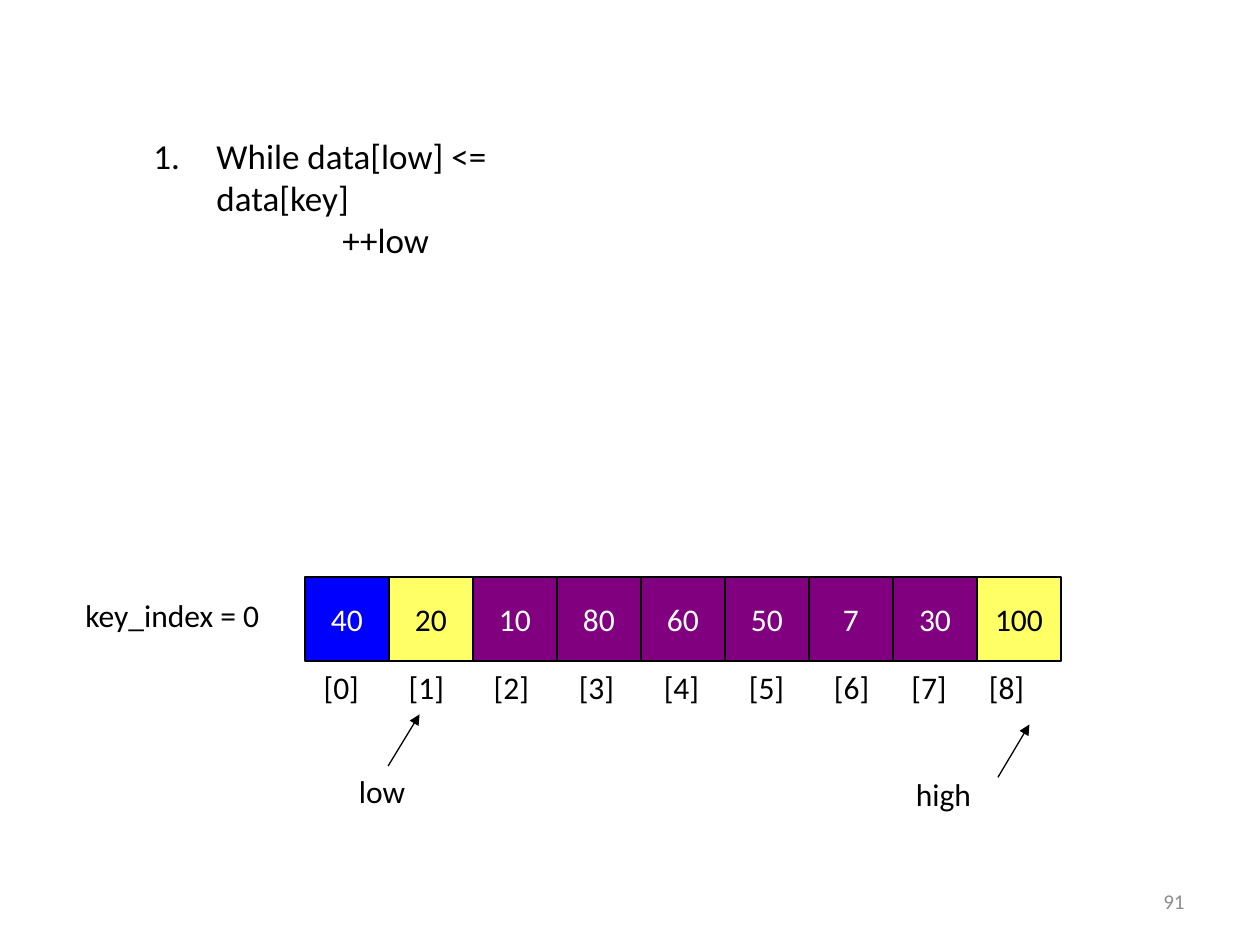
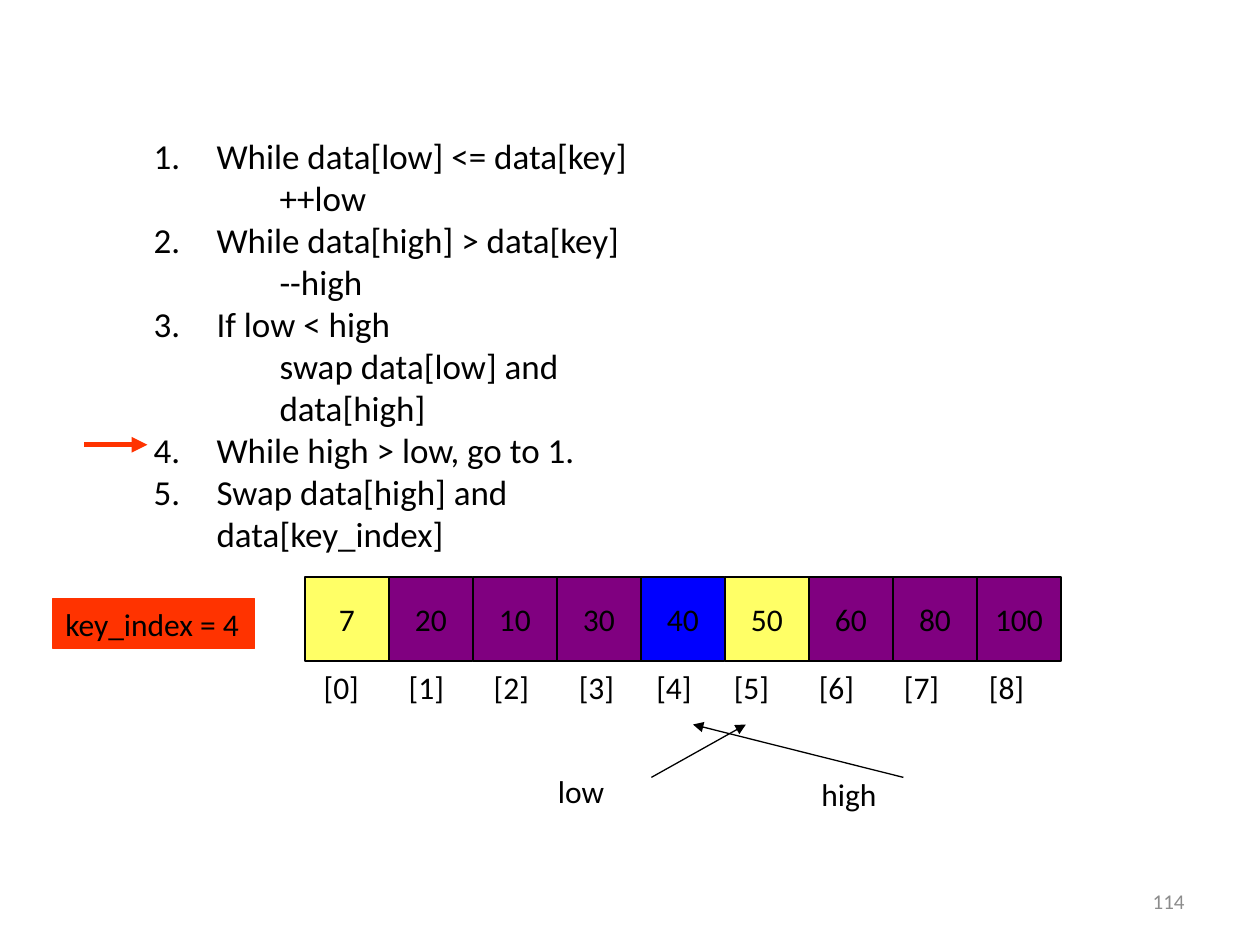
from lxml import etree
from pptx import Presentation
from pptx.dml.color import RGBColor
from pptx.enum.shapes import MSO_CONNECTOR, MSO_SHAPE
from pptx.enum.text import MSO_ANCHOR, PP_ALIGN
from pptx.oxml.ns import qn
from pptx.util import Inches, Pt

RECT, LINE = MSO_SHAPE.RECTANGLE, MSO_CONNECTOR.STRAIGHT
MIDDLE = MSO_ANCHOR.MIDDLE
LEFT, MID, RIGHT = PP_ALIGN.LEFT, PP_ALIGN.CENTER, PP_ALIGN.RIGHT
FONT = "Calibri"
COLORS = {
    "black": "000000", "white": "FFFFFF", "gray": "8C8C8C", "red": "FF3300",
    "key": "0000FF", "mark": "FFFF66", "rest": "800080",
}
CELL = 0.6667
ROW_X, ROW_Y = 2.42, 4.58
WIDE, TIGHT = 0.675, 0.615  # gaps between index labels

SLIDES = [
    {
        "page": "91",
        "values": [40, 20, 10, 80, 60, 50, 7, 30, 100],
        "key": 0, "marks": (1, 8), "ink": "white",
        "key_at": (0.58, 4.68), "key_fill": None,
        "tight": (7, 8),
        "steps_w": 3.73, "sub": 1.5,
        "steps": [("While data[low] <= data[key]", "++low")],
        "names": [("low", 2.75, 6.08), ("high", 7.17, 6.1)],
        "arrows": [(7.92, 6.17, 8.17, 5.75, "black", 0.75),
                   (3.08, 6.08, 3.33, 5.67, "black", 0.75)],
    },
    {
        "page": "114",
        "values": [7, 20, 10, 30, 40, 50, 60, 80, 100],
        "key": 4, "marks": (0, 5), "ink": "black",
        "key_at": (0.42, 4.75), "key_fill": "red",
        "tight": (4, 5),
        "steps_w": 4.38, "sub": 1,
        "steps": [("While data[low] <= data[key]", "++low"),
                  ("While data[high] > data[key]", "--high"),
                  ("If low < high", "swap data[low] and data[high]"),
                  ("While high > low, go to 1.", None),
                  ("Swap data[high] and data[key_index]", None)],
        "names": [("low", 4.33, 6.08), ("high", 6.42, 6.1)],
        "arrows": [(7.17, 6.17, 5.5, 5.75, "black", 0.75),
                   (5.17, 6.17, 5.92, 5.75, "black", 0.75),
                   (0.67, 3.53, 1.17, 3.53, "red", 3)],
    },
]


def style(para, size=18, ink="black", align=LEFT):
    para.alignment = align
    for run in para.runs:
        run.font.name = FONT
        run.font.size = Pt(size)
        run.font.color.rgb = RGBColor.from_string(COLORS[ink])


def box(slide, text, x, y, w, h=0.4, fill=None, edge="black", **look):
    """Add a text box, or a filled rectangle when a fill is named."""
    area = [Inches(n) for n in (x, y, w, h)]
    if fill:
        shape = slide.shapes.add_shape(RECT, *area)
        shape.shadow.inherit = False
        shape.fill.solid()
        shape.fill.fore_color.rgb = RGBColor.from_string(COLORS[fill])
        shape.line.color.rgb = RGBColor.from_string(COLORS[edge])
        shape.line.width = Pt(0.75)
        shape.text_frame.vertical_anchor = MIDDLE
    else:
        shape = slide.shapes.add_textbox(*area)
    shape.text_frame.word_wrap = True
    shape.text_frame.text = text
    style(shape.text_frame.paragraphs[0], **look)
    return shape.text_frame


deck = Presentation()
deck.slide_width, deck.slide_height = Inches(10), Inches(7.5)

for data in SLIDES:
    slide = deck.slides.add_slide(deck.slide_layouts[6])

    # Numbered steps, each with an indented action
    lines = [(text, depth) for step in data["steps"]
             for depth, text in enumerate(step) if text]
    frame = box(slide, lines[0][0], 1.12, 1.02, data["steps_w"], 1.08)
    for i, (text, depth) in enumerate(lines):
        para = frame.add_paragraph() if i else frame.paragraphs[0]
        para.text = text
        para.level = depth
        props = para._p.get_or_add_pPr()
        props.set("marL", str(Inches(data["sub"] if depth else 0.5)))
        props.set("indent", str(Inches(0 if depth else -0.5)))
        if depth:
            etree.SubElement(props, qn("a:buNone"))
        else:
            etree.SubElement(props, qn("a:buAutoNum"), type="arabicPeriod")
        style(para, 20)

    # Array cells
    for i, value in enumerate(data["values"]):
        fill, ink = "rest", data["ink"]
        if i == data["key"]:
            fill = "key"
        elif i in data["marks"]:
            fill, ink = "mark", "black"
        box(slide, str(value), ROW_X + i * CELL, ROW_Y, CELL, CELL,
            fill, ink=ink, align=MID)

    # Index labels on tab stops
    labels = "\t".join(f"[{i}]" for i in range(len(data["values"])))
    frame = box(slide, labels, 2.47, 5.25, 5.91)
    props = frame.paragraphs[0]._p.get_or_add_pPr()
    tabs = etree.SubElement(props, qn("a:tabLst"))
    stop = 0
    for i in range(1, len(data["values"])):
        stop += TIGHT if i in data["tight"] else WIDE
        etree.SubElement(tabs, qn("a:tab"), pos=str(Inches(stop)), algn="l")

    # Key index and pointer names
    box(slide, f"key_index = {data['key']}", *data["key_at"], 1.6,
        fill=data["key_fill"], edge="red")
    for name, x, y in data["names"]:
        box(slide, name, x, y, 1.08)

    for x1, y1, x2, y2, ink, width in data["arrows"]:
        ends = [Inches(n) for n in (x1, y1, x2, y2)]
        arrow = slide.shapes.add_connector(LINE, *ends)
        arrow.line.color.rgb = RGBColor.from_string(COLORS[ink])
        arrow.line.width = Pt(width)
        etree.SubElement(arrow.line._get_or_add_ln(), qn("a:tailEnd"), type="triangle")
        etree.SubElement(arrow._element.spPr, qn("a:effectLst"))

    frame = box(slide, data["page"], 7.17, 6.95, 2.33,
                size=12, ink="gray", align=RIGHT)
    frame.vertical_anchor = MIDDLE

deck.save("out.pptx")
